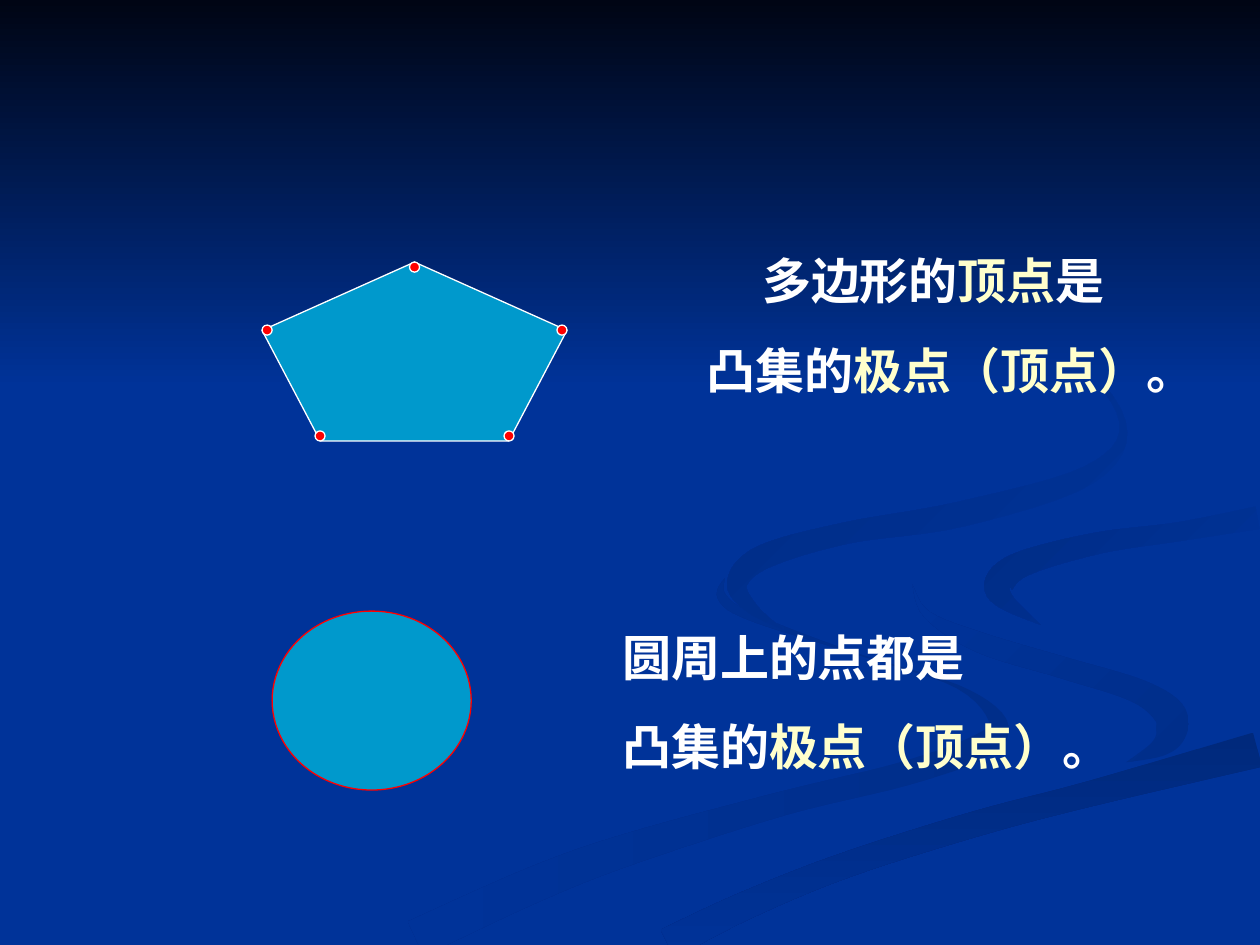
"""Build a slide on the extreme points of a polygon and of a disc."""
from math import hypot

from pptx import Presentation
from pptx.dml.color import RGBColor
from pptx.enum.shapes import MSO_SHAPE
from pptx.enum.text import MSO_AUTO_SIZE
from pptx.util import Inches, Pt

PENTAGON = MSO_SHAPE.REGULAR_PENTAGON
OVAL = MSO_SHAPE.OVAL
RECTANGLE = MSO_SHAPE.RECTANGLE
FIT_TEXT = MSO_AUTO_SIZE.SHAPE_TO_FIT_TEXT

BLUE = RGBColor(0x00, 0x33, 0x99)
NIGHT = RGBColor(0x00, 0x05, 0x14)
SHADE_LEFT = RGBColor(0x00, 0x2E, 0x8A)
SHADE_LOW = RGBColor(0x00, 0x29, 0x7C)
SHADE_RIGHT = RGBColor(0x00, 0x2C, 0x85)
SHADE_TOP = RGBColor(0x00, 0x2B, 0x81)
CYAN = RGBColor(0x00, 0x99, 0xCC)
RED = RGBColor(0xFF, 0x00, 0x00)
WHITE = RGBColor(0xFF, 0xFF, 0xFF)
CREAM = RGBColor(0xFF, 0xFF, 0xCC)

LEFT_HOOK = [(5.75, 4.59, 0), (5.73, 4.74, 0.07), (5.97, 4.9, 0.06),
             (6.8, 5.19, 0.01), (7.6, 5.45, 0.03), (7.92, 5.73, 0.14),
             (7.79, 5.92, 0.2), (7.18, 6.14, 0.19), (6.2, 6.38, 0.19),
             (4.99, 6.74, 0.25), (4.24, 7.02, 0.28), (3.3, 7.45, 0.3)]
MIDDLE_HOOK = [(7.24, 4.64, 0), (7.36, 4.88, 0.06), (7.78, 5.1, 0.16),
               (8.44, 5.3, 0.17), (9.02, 5.48, 0.19), (9.28, 5.66, 0.25),
               (9.29, 5.82, 0.24), (9.19, 5.94, 0.14), (8.94, 6.05, 0)]
LOWER_SWEEP = [(5.3, 7.49, 0.25), (5.91, 7.19, 0.22), (6.7, 6.87, 0.2),
               (7.74, 6.54, 0.2), (8.65, 6.3, 0.2), (9.98, 5.95, 0.28)]
RIGHT_HOOK = [(8.26, 4.96, 0), (7.98, 4.77, 0.14), (7.93, 4.63, 0.23),
              (8.13, 4.47, 0.2), (8.72, 4.31, 0.17), (9.36, 4.22, 0.15),
              (9.98, 4.11, 0.18)]
TOP_HOOK = [(7.62, 2.33, 0), (8.45, 2.77, 0.03), (8.91, 3.35, 0.05),
            (8.64, 3.77, 0.15), (7.63, 4.08, 0.2), (6.72, 4.23, 0.17),
            (6.06, 4.42, 0.19), (5.85, 4.63, 0.16), (5.97, 4.83, 0.09),
            (6.22, 5, 0)]
RIBBONS = [
    (LEFT_HOOK, SHADE_LEFT, BLUE, 180),
    (MIDDLE_HOOK, SHADE_LEFT, BLUE, 135),
    (LOWER_SWEEP, SHADE_LOW, BLUE, 270),
    (RIGHT_HOOK, BLUE, SHADE_RIGHT, 135),
    (TOP_HOOK, BLUE, SHADE_TOP, 135),
]
STEPS = 6

CONCLUSION = [("凸集的", WHITE), ("极点（顶点）", CREAM), ("。", WHITE)]
POLYGON_LINE = [("多边形的", WHITE), ("顶点", CREAM), ("是", WHITE)]
CIRCLE_LINE = [("圆周上的点都是", WHITE)]

PENTAGON_AXIS = 3.29
DOT = 0.08
VERTICES = [(0, 2.12), (-1.17, 2.62), (1.17, 2.62), (-0.75, 3.46), (0.75, 3.46)]

prs = Presentation()
prs.slide_width, prs.slide_height = Inches(10), Inches(7.5)
slide = prs.slides.add_slide(prs.slide_layouts[6])
slide.background.fill.solid()
slide.background.fill.fore_color.rgb = BLUE


def add_figure(preset, left, top, width, height, fill, outline):
    figure = slide.shapes.add_shape(
        preset, Inches(left), Inches(top), Inches(width), Inches(height))
    figure.shadow.inherit = False
    figure.fill.solid()
    figure.fill.fore_color.rgb = fill
    figure.line.color.rgb = outline
    figure.line.width = Pt(0.75)


def add_statement(left, top, width, first_line, first_indent):
    statement = slide.shapes.add_textbox(
        Inches(left), Inches(top), Inches(width), Inches(1.28))
    frame = statement.text_frame
    frame.word_wrap = True
    frame.auto_size = FIT_TEXT
    opening, closing = frame.paragraphs[0], frame.add_paragraph()
    opening._p.get_or_add_pPr().set("marL", str(Inches(first_indent)))
    for paragraph, parts in ((opening, first_line), (closing, CONCLUSION)):
        paragraph.space_before = Pt(17.5)
        for words, color in parts:
            run = paragraph.add_run()
            run.text = words
            run.font.name = "Times New Roman"
            run.font.size = Pt(28)
            run.font.bold = True
            run.font.color.rgb = color


backdrop = []
for stations, start, end, angle in RIBBONS:
    knots = [stations[0], *stations, stations[-1]]
    centre_line = []
    for before, here, there, after in zip(knots, knots[1:], knots[2:], knots[3:]):
        for step in range(STEPS):
            t = step / STEPS
            centre_line.append([
                b + (c - a) * t / 2 + (2 * a - 5 * b + 4 * c - d) * t**2 / 2
                + (3 * b - a - 3 * c + d) * t**3 / 2
                for a, b, c, d in zip(before, here, there, after)])
    centre_line.append(stations[-1])

    near_edge, far_edge = [], []
    for index, (x, y, width) in enumerate(centre_line):
        back = centre_line[max(index - 1, 0)]
        ahead = centre_line[min(index + 1, len(centre_line) - 1)]
        run_x, run_y = ahead[0] - back[0], ahead[1] - back[1]
        half = width / 2 / hypot(run_x, run_y)
        shift_x, shift_y = -run_y * half, run_x * half
        near_edge.append((Inches(x + shift_x), Inches(y + shift_y)))
        far_edge.append((Inches(x - shift_x), Inches(y - shift_y)))

    outline = near_edge + far_edge[::-1]
    builder = slide.shapes.build_freeform(*outline[0])
    builder.add_line_segments(outline[1:], close=True)
    backdrop.append((builder.convert_to_shape(), start, end, angle))

night_sky = slide.shapes.add_shape(RECTANGLE, 0, 0, Inches(10), Inches(3.08))
backdrop.append((night_sky, NIGHT, BLUE, 270))

for layer, start, end, angle in backdrop:
    layer.shadow.inherit = False
    layer.line.fill.background()
    layer.fill.gradient()
    layer.fill.gradient_angle = angle
    for stop, color in zip(layer.fill.gradient_stops, (start, end)):
        stop.color.rgb = color

add_statement(5.51, 1.94, 4.49, POLYGON_LINE, 0.44)
add_figure(PENTAGON, 2.08, 2.08, 2.42, 1.42, CYAN, WHITE)
for offset, y in VERTICES:
    add_figure(OVAL, PENTAGON_AXIS + offset - DOT / 2, y - DOT / 2,
               DOT, DOT, RED, WHITE)

add_statement(4.84, 4.93, 4.88, CIRCLE_LINE, 0)
add_figure(OVAL, 2.16, 4.85, 1.58, 1.42, CYAN, RED)

prs.save("out.pptx")
